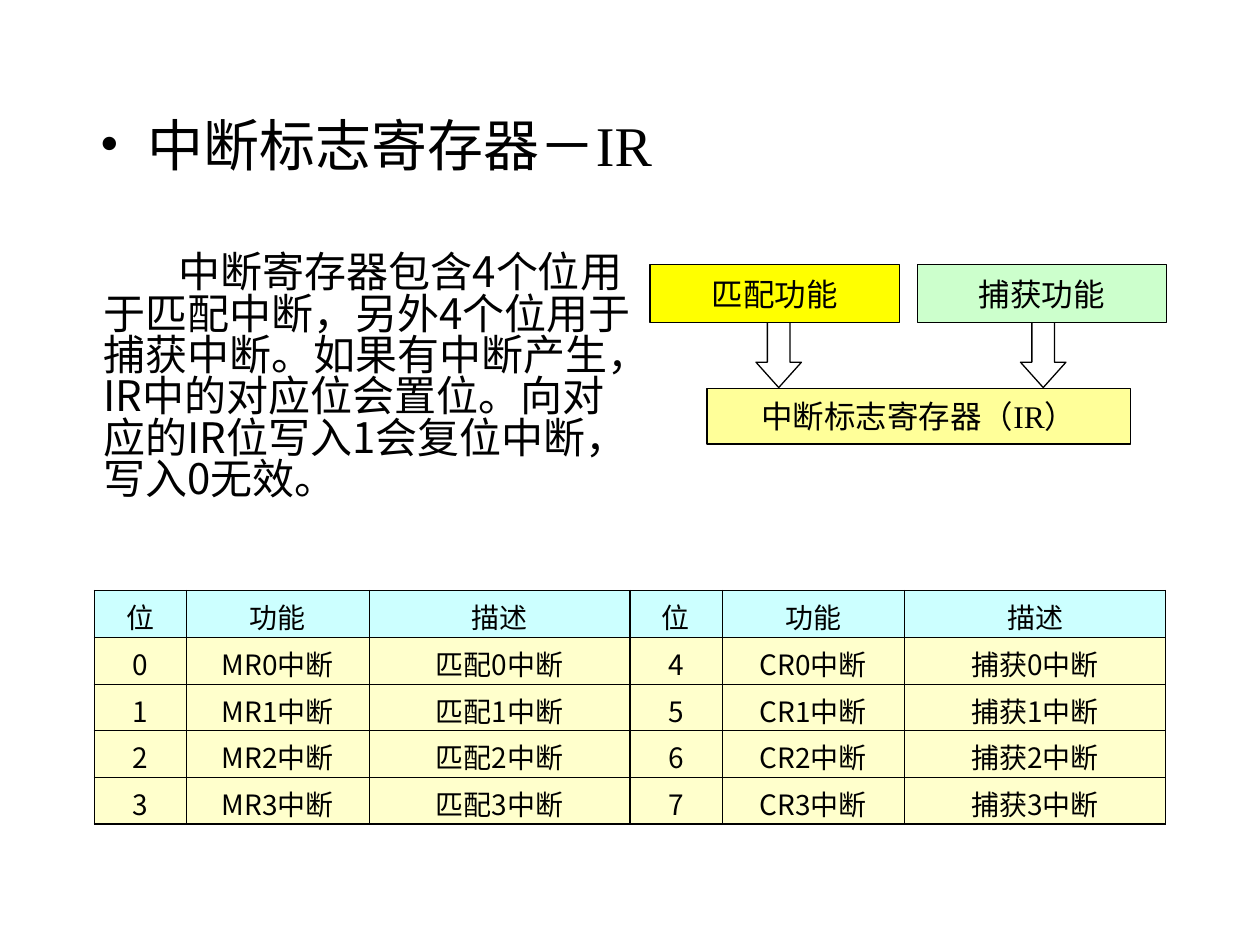
from lxml import etree
from pptx import Presentation
from pptx import util as u
from pptx.dml.color import RGBColor
from pptx.enum import shapes, text
from pptx.oxml import ns

WIDTH, HEIGHT = u.Inches(10), u.Inches(7.5)
SERIF, SANS, BODY = "Times New Roman", "Noto Sans CJK SC", "Noto Sans CJK JP"
BLACK = "000000"


def colour(value):
    return RGBColor.from_string(value)


def share(box, x, y, w, h):
    left, top, width, height = box
    return (int(left + x * width), int(top + y * height),
            int(w * width), int(h * height))


def write(frame, words, size, latin=SANS, asian=SANS, align=text.PP_ALIGN.LEFT,
          anchor=text.MSO_ANCHOR.TOP, wrap=True, spacing=None):
    frame.word_wrap = wrap
    frame.vertical_anchor = anchor
    paragraph = frame.paragraphs[0]
    paragraph.alignment = align
    paragraph.line_spacing = spacing
    run = paragraph.add_run()
    run.text = words
    run.font.size = u.Pt(size)
    run.font.name = latin
    run.font.color.rgb = colour(BLACK)
    etree.SubElement(run.font._element, ns.qn("a:ea"), typeface=asian)
    return paragraph


def indent(paragraph, first, left=0.0):
    properties = paragraph._p.get_or_add_pPr()
    properties.set("marL", str(u.Inches(left)))
    properties.set("indent", str(u.Inches(first)))
    return properties


def place_heading(slide, box):
    heading = slide.shapes.title
    heading.left, heading.top, heading.width, heading.height = box
    heading.text_frame.auto_size = text.MSO_AUTO_SIZE.NONE
    paragraph = write(heading.text_frame, "中断标志寄存器－IR", 32, latin=SERIF)
    properties = indent(paragraph, -0.38, 0.38)
    bullet_colour = etree.SubElement(properties, ns.qn("a:buClr"))
    etree.SubElement(bullet_colour, ns.qn("a:srgbClr"), val=BLACK)
    etree.SubElement(properties, ns.qn("a:buFont"), typeface=SERIF)
    etree.SubElement(properties, ns.qn("a:buChar"), char="•")


def place_explanation(slide, box):
    explanation = slide.shapes.add_textbox(*box)
    paragraph = write(
        explanation.text_frame,
        "中断寄存器包含4个位用于匹配中断，另外4个位用于捕获中断。如果有中断产生，"
        "IR中的对应位会置位。向对应的IR位写入1会复位中断，写入0无效。",
        24, latin=BODY, asian=BODY, spacing=0.82)
    indent(paragraph, 0.6)


def add_block(slide, kind, box, fill=None, words=None):
    block = slide.shapes.add_shape(kind, *box)
    block.shadow.inherit = False
    block.line.color.rgb = colour(BLACK)
    block.line.width = u.Pt(0.75)
    if fill:
        block.fill.solid()
        block.fill.fore_color.rgb = colour(fill)
    else:
        block.fill.background()
    if words:
        write(block.text_frame, words, 18, latin=SERIF, wrap=False,
              align=text.PP_ALIGN.CENTER, anchor=text.MSO_ANCHOR.MIDDLE)
    return block


def place_diagram(slide, box):
    rectangle = shapes.MSO_SHAPE.RECTANGLE
    add_block(slide, rectangle, share(box, 0.11, 0.69, 0.82, 0.31),
              "FFFF99", "中断标志寄存器（IR）")
    sources = [(0, 0.205, "FFFF00", "匹配功能"),
               (0.517, 0.717, "CCFFCC", "捕获功能")]
    for source_x, arrow_x, fill, words in sources:
        arrow = add_block(slide, shapes.MSO_SHAPE.DOWN_ARROW,
                          share(box, arrow_x, 0.12, 0.088, 0.565))
        arrow.adjustments[0] = 0.5
        arrow.adjustments[1] = 0.557
        add_block(slide, rectangle, share(box, source_x, 0, 0.483, 0.324),
                  fill, words)


def set_borders(cell, widths):
    properties = cell._tc.get_or_add_tcPr()
    for side, points in zip("LRTB", widths):
        line = etree.SubElement(properties, ns.qn("a:ln" + side),
                                w=str(u.Pt(points)))
        fill = etree.SubElement(line, ns.qn("a:solidFill"))
        etree.SubElement(fill, ns.qn("a:srgbClr"), val=BLACK)


def place_bit_table(slide, box):
    rows = [["位", "功能", "描述"] * 2]
    for bit in range(4):
        rows.append([f"{bit}", f"MR{bit}中断", f"匹配{bit}中断",
                     f"{bit + 4}", f"CR{bit}中断", f"捕获{bit}中断"])
    last = len(rows) - 1
    thin, thick = 0.45, 1.08
    table = slide.shapes.add_table(len(rows), len(rows[0]), *box).table
    table.first_row = table.horz_banding = False
    for column, inches in zip(table.columns, [0.73, 1.45, 2.07] * 2):
        column.width = u.Inches(inches)
    for r, row in enumerate(rows):
        table.rows[r].height = int(box[3] / len(rows))
        for c, words in enumerate(row):
            cell = table.cell(r, c)
            cell.margin_top, cell.margin_bottom = u.Inches(0.04), 0
            cell.vertical_anchor = text.MSO_ANCHOR.MIDDLE
            write(cell.text_frame, words, 16, align=text.PP_ALIGN.CENTER)
            outer = [c % 3 == 0, c % 3 == 2, r == 0, r == last]
            set_borders(cell, [thick if edge else thin for edge in outer])
            cell.fill.solid()
            cell.fill.fore_color.rgb = colour("FFFFCC" if r else "CCFFFF")


def main():
    deck = Presentation()
    deck.slide_width, deck.slide_height = WIDTH, HEIGHT
    slide = deck.slides.add_slide(deck.slide_layouts[5])
    page = (0, 0, WIDTH, HEIGHT)
    place_diagram(slide, share(page, 0.516, 0.28, 0.41, 0.19))
    place_explanation(slide, share(page, 0.072, 0.263, 0.444, 0.33))
    place_bit_table(slide, share(page, 0.075, 0.625, 0.85, 0.247))
    place_heading(slide, share(page, 0.069, 0.11, 0.825, 0.09))
    deck.save("out.pptx")


if __name__ == "__main__":
    main()
